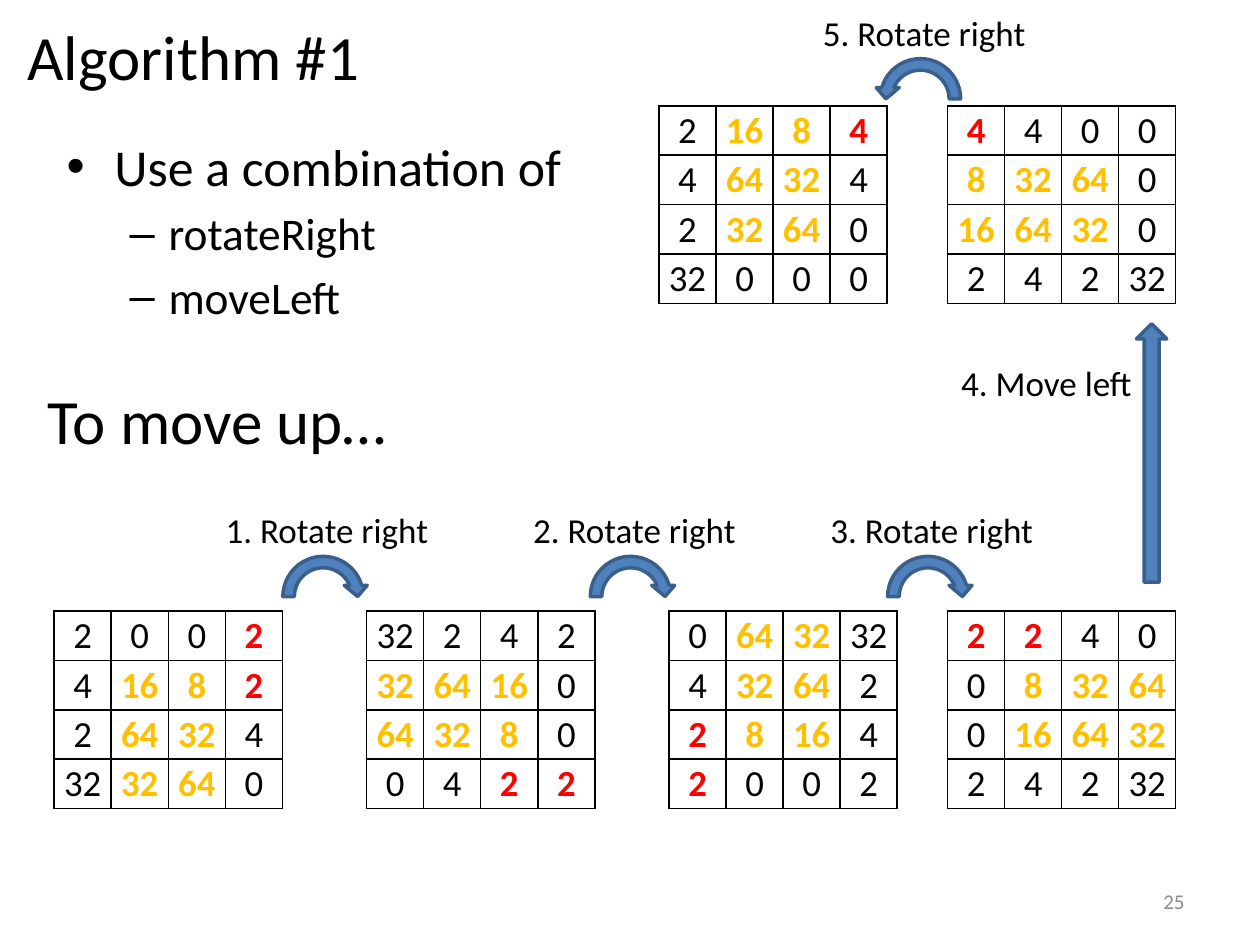
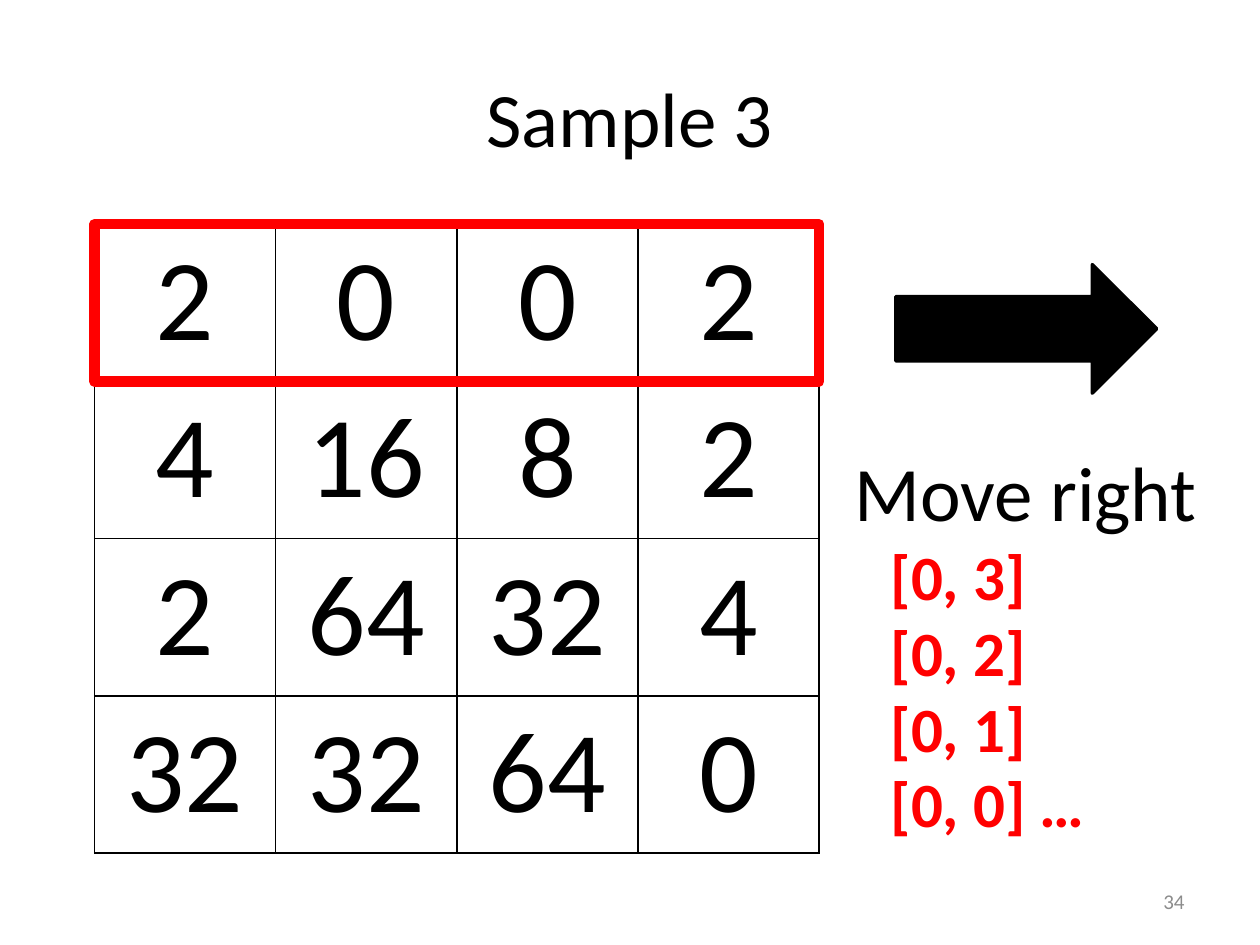
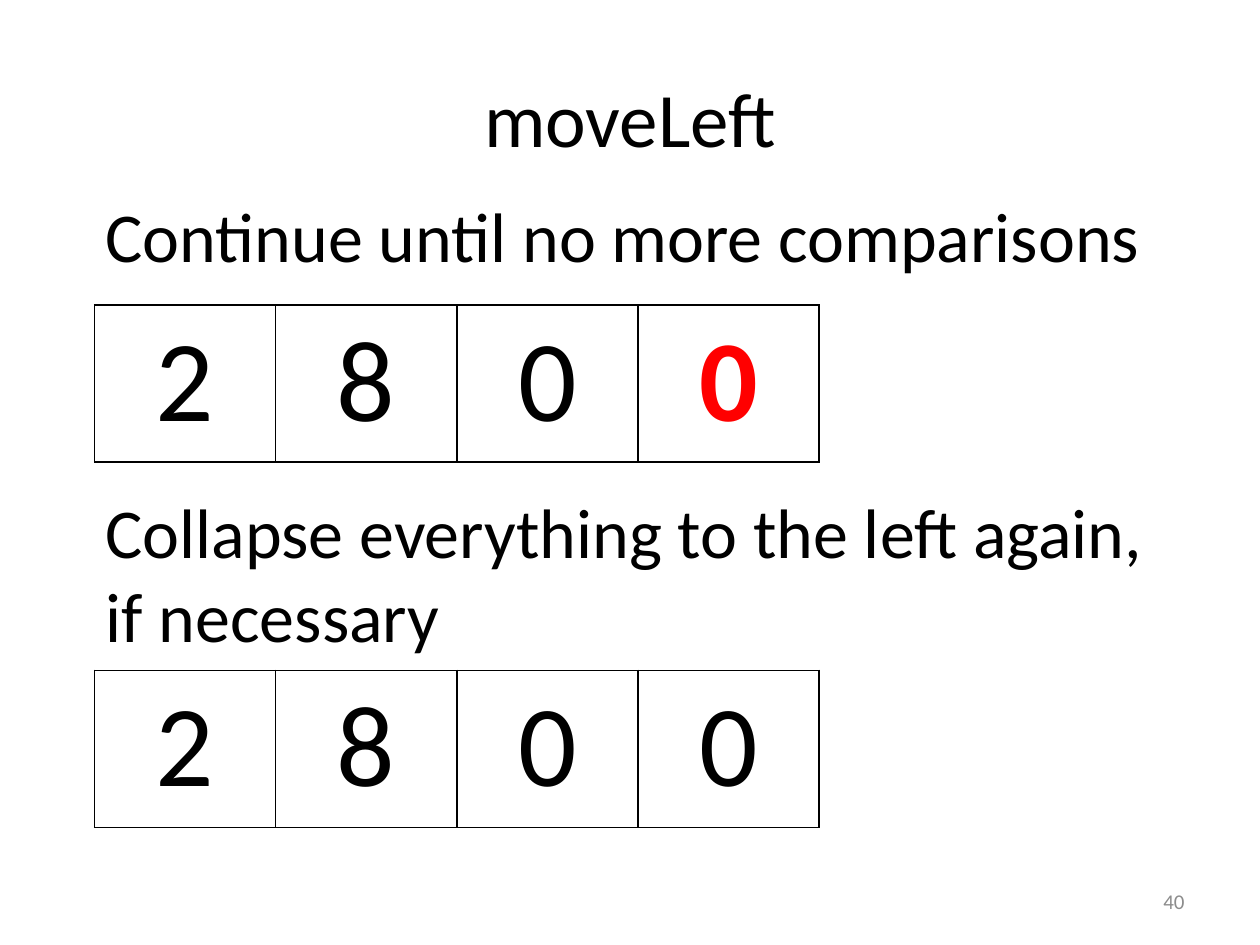
from lxml.etree import SubElement
from pptx import Presentation
from pptx.dml.color import RGBColor
from pptx.enum.shapes import MSO_SHAPE
from pptx.enum.text import MSO_ANCHOR, PP_ALIGN
from pptx.oxml.ns import qn
from pptx.util import Emu, Inches, Pt

FONT = "Calibri"
COLORS = {
    "ink": "000000",
    "changed": "FF0000",
    "kept": "FFC000",
    "arrow": "4F81BD",
    "arrow_edge": "3A5F8C",
    "page": "8C8C8C",
}
MARKS = {"!": "changed", "*": "kept"}

# The slide is a grid of 100 columns by 75 rows.
COLUMNS, ROWS = 100, 75
UNIT = Inches(0.1)

SMALL_CELL = (4.53, 3.92)
LARGE_CELL = (14.38, 12.48)
LARGE_LEFT = 7.5
LOWER_BOARDS, UPPER_BOARDS = 48.5, 8.4


def grid(*units):
    return [Emu(round(unit * UNIT)) for unit in units]


def color(key):
    return RGBColor.from_string(COLORS[key])


def style(paragraph, size, ink="ink", bold=False, align=PP_ALIGN.LEFT):
    paragraph.alignment = align
    font = paragraph.font
    font.name, font.size, font.bold = FONT, Pt(size), bold
    font.color.rgb = color(ink)


def add_text(slide, box, lines, size, anchor=MSO_ANCHOR.TOP, **look):
    frame = slide.shapes.add_textbox(*grid(*box)).text_frame
    frame.word_wrap = True
    frame.vertical_anchor = anchor
    frame.text = lines
    for paragraph in frame.paragraphs:
        style(paragraph, size, **look)
    return frame


def add_title(slide, title):
    add_text(slide, (5, 3, 90, 12.5), title, 44, MSO_ANCHOR.MIDDLE, align=PP_ALIGN.CENTER)


def add_page_number(slide, number):
    add_text(slide, (71.7, 69.5, 23.3, 4), str(number), 12, MSO_ANCHOR.MIDDLE,
             ink="page", align=PP_ALIGN.RIGHT)


def add_bullet(paragraph, sign, indent, hanging):
    properties = paragraph._p.get_or_add_pPr()
    properties.set("marL", str(Inches(indent)))
    properties.set("indent", str(-Inches(hanging)))
    SubElement(properties, qn("a:buFont"), typeface="Arial")
    SubElement(properties, qn("a:buChar"), char=sign)


def add_outline(slide, preset, box, fill, line, width=2):
    outline = slide.shapes.add_shape(preset, *grid(*box))
    outline.shadow.inherit = False
    if fill:
        outline.fill.solid()
        outline.fill.fore_color.rgb = color(fill)
    else:
        outline.fill.background()
    outline.line.color.rgb = color(line)
    outline.line.width = Pt(width)
    return outline


def add_borders(cell):
    properties = cell._tc.get_or_add_tcPr()
    for side in ("a:lnL", "a:lnR", "a:lnT", "a:lnB"):
        border = SubElement(properties, qn(side), w=str(Pt(1)))
        fill = SubElement(border, qn("a:solidFill"))
        SubElement(fill, qn("a:srgbClr"), val=COLORS["ink"])


def add_board(slide, left, top, rows, cell_size, size, margins=None):
    """Draw a board; each row is a string of values, with ! for changed and * for kept."""
    values = [row.split() for row in rows]
    row_count, column_count = len(values), len(values[0])
    cell_width, cell_height = cell_size
    board = slide.shapes.add_table(
        row_count, column_count,
        *grid(left, top, cell_width * column_count, cell_height * row_count)).table
    board.first_row = board.horz_banding = False
    for column in board.columns:
        column.width, = grid(cell_width)
    for row, row_values in zip(board.rows, values):
        row.height, = grid(cell_height)
        for cell, value in zip(row.cells, row_values):
            if margins:
                (cell.margin_left, cell.margin_right,
                 cell.margin_top, cell.margin_bottom) = map(Inches, margins)
            add_borders(cell)
            cell.fill.background()
            cell.text = value.rstrip("!*")
            mark = MARKS.get(value[-1])
            style(cell.text_frame.paragraphs[0], size, mark or "ink",
                  bool(mark), PP_ALIGN.CENTER)


def add_small_board(slide, left, top, rows):
    add_board(slide, left, top, rows, SMALL_CELL, 21, (0.03, 0.03, 0.02, 0.01))


def add_large_board(slide, top, rows):
    add_board(slide, LARGE_LEFT, top, rows, LARGE_CELL, 66)


def add_step_label(slide, left, top, width, label):
    add_text(slide, (left, top, width, 4.4), label, 20, align=PP_ALIGN.CENTER)


def add_rotation(slide, number, left, top, leftward=False):
    add_step_label(slide, left - 5.9, top - 3.8, 19.7, f"{number}. Rotate right")
    arrow = add_outline(slide, MSO_SHAPE.CIRCULAR_ARROW, (left, top, 7.3, 7.3),
                        "arrow", "arrow_edge")
    if leftward:
        arrow._element.spPr.xfrm.set("flipH", "1")


def build_algorithm(slide):
    add_text(slide, (1.2, 0.9, 98.8, 7.1), "Algorithm #1", 36)
    add_text(slide, (2.8, 29.8, 45.7, 7.1), "To move up…", 36)

    moves = add_text(slide, (4.3, 10.2, 42, 19.7),
                     "Use a combination of\nrotateRight\nmoveLeft", 29.6)
    combination, *methods = moves.paragraphs
    add_bullet(combination, "•", 0.38, 0.38)
    for method in methods:
        method.level = 1
        method.space_before = Pt(5)
        add_bullet(method, "–", 0.81, 0.31)
        method.font.size = Pt(25.9)

    boards = [
        (4.3, LOWER_BOARDS, ["2 0 0 2!", "4 16* 8* 2!", "2 64* 32* 4", "32 32* 64* 0"]),
        (29.1, LOWER_BOARDS, ["32 2 4 2", "32* 64* 16* 0", "64* 32* 8* 0", "0 4 2! 2!"]),
        (53.1, LOWER_BOARDS, ["0 64* 32* 32", "4 32* 64* 2", "2! 8* 16* 4", "2! 0 0 2"]),
        (75.2, LOWER_BOARDS, ["2! 2! 4 0", "0 8* 32* 64*", "0 16* 64* 32*", "2 4 2 32"]),
        (75.2, UPPER_BOARDS, ["4! 4 0 0", "8* 32* 64* 0", "16* 64* 32* 0", "2 4 2 32"]),
        (52.3, UPPER_BOARDS, ["2 16* 8* 4!", "4 64* 32* 4", "2 32* 64* 0", "32 0 0 0"]),
    ]
    for left, top, rows in boards:
        add_small_board(slide, left, top, rows)

    for number, left in enumerate((22, 46.4, 70), start=1):
        add_rotation(slide, number, left, LOWER_BOARDS - 4.8)
    add_outline(slide, MSO_SHAPE.UP_ARROW, (90.2, 25.7, 2.4, 20.5), "arrow", "arrow_edge")
    add_step_label(slide, 75.2, 28.2, 15.7, "4. Move left")
    add_rotation(slide, 5, 69.4, UPPER_BOARDS - 4.2, leftward=True)


def build_sample(slide):
    add_title(slide, "Sample 3")
    board_top = 17.8
    add_large_board(slide, board_top, ["2 0 0 2", "4 16 8 2", "2 64 32 4", "32 32 64 0"])
    add_text(slide, (66.4, 34.8, 30, 8.4), "Move right", 44, align=PP_ALIGN.CENTER)
    add_outline(slide, MSO_SHAPE.RIGHT_ARROW, (71.1, 21, 20.7, 10.2), "ink", "ink")
    cell_width, cell_height = LARGE_CELL
    add_outline(slide, MSO_SHAPE.RECTANGLE,
                (LARGE_LEFT, board_top, 4 * cell_width, cell_height), None, "changed", 6)
    add_text(slide, (69.7, 42.2, 25.1, 25.2), "[0, 3]\n[0, 2]\n[0, 1]\n[0, 0] …", 36,
             ink="changed", bold=True)


def build_move_left(slide):
    add_title(slide, "moveLeft")
    add_text(slide, (7.4, 14.8, 89.1, 7.7), "Continue until no more comparisons", 40)
    add_large_board(slide, 24.2, ["2 8 0 0!"])
    add_text(slide, (7.4, 38.3, 87.5, 14.5),
             "Collapse everything to the left again, if necessary", 40)
    add_large_board(slide, 53.2, ["2 8 0 0"])


def main():
    deck = Presentation()
    deck.slide_width, deck.slide_height = grid(COLUMNS, ROWS)
    blank = deck.slide_layouts[6]
    for number, build in ((25, build_algorithm), (34, build_sample), (40, build_move_left)):
        slide = deck.slides.add_slide(blank)
        build(slide)
        add_page_number(slide, number)
    deck.save("out.pptx")


if __name__ == "__main__":
    main()
